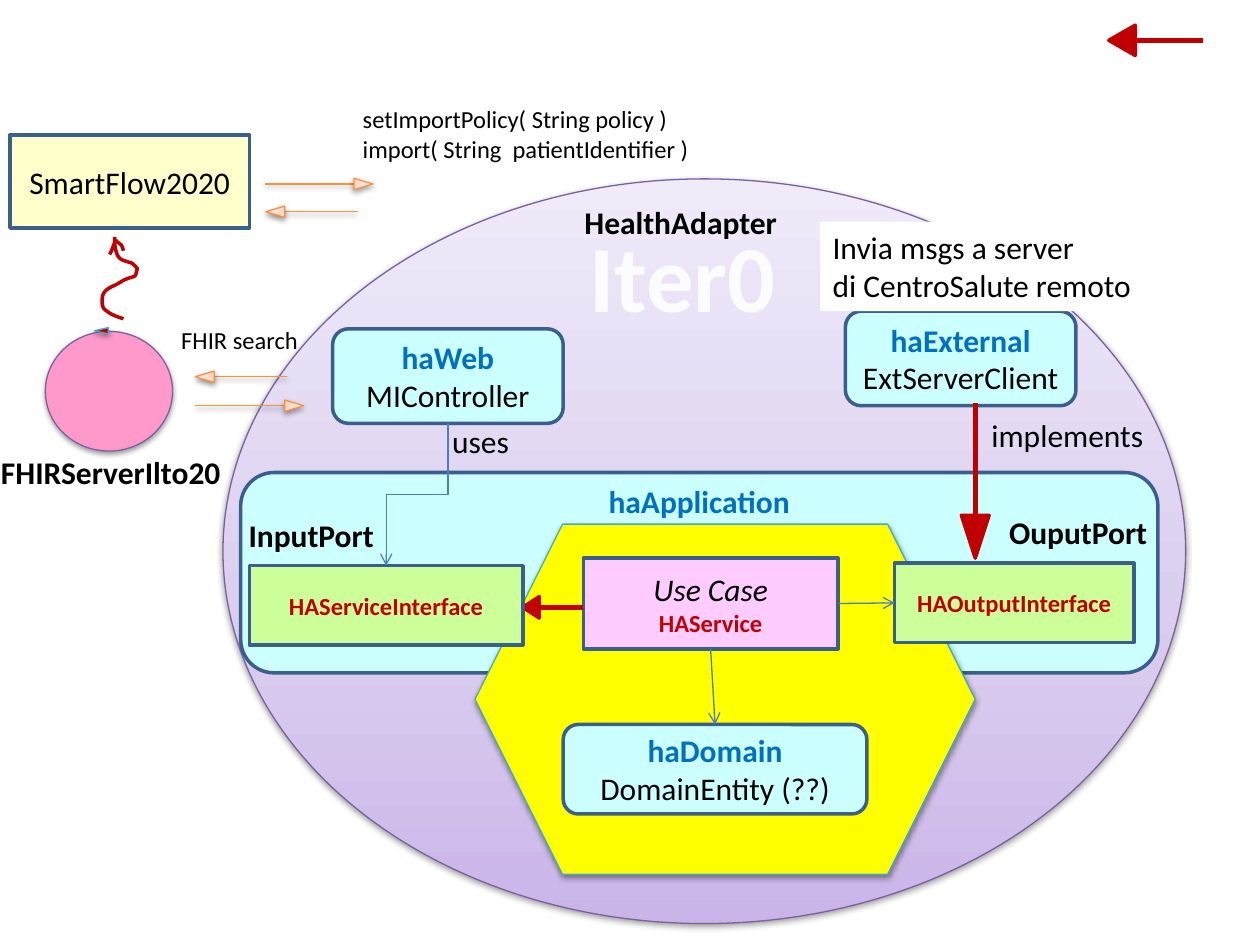
import copy
import math
from dataclasses import dataclass

import pptx
import pptx.dml.color
import pptx.enum.shapes
import pptx.enum.text
import pptx.oxml.ns
import pptx.util
from lxml import etree

SCALE = 9144  # EMU in one px, at 100 px to the inch
SHAPE = pptx.enum.shapes.MSO_SHAPE
CONNECTOR = pptx.enum.shapes.MSO_CONNECTOR
ALIGN = pptx.enum.text.PP_ALIGN
ANCHOR = pptx.enum.text.MSO_ANCHOR
qn = pptx.oxml.ns.qn


@dataclass(frozen=True)
class Theme:
    font: str = "Calibri"
    small: int = 14
    body: int = 18
    huge: int = 54
    black: str = "000000"
    white: str = "FFFFFF"
    ghost: str = "FCFCFF"
    title: str = "0070C0"
    red: str = "C00000"
    frame: str = "3A5F8C"
    violet: str = "7D60A0"
    teal: str = "46AAC5"
    link: str = "4B7EBC"
    orange: str = "F69240"
    cyan: str = "CCFFFF"
    yellow: str = "FFFF00"
    cream: str = "FFFFCC"
    lilac: str = "FFCCFF"
    pink: str = "FF99CC"
    green: str = "CCFF99"
    lavender: tuple = ("C9B5E8", "D8CBEE", "F0EAF9")
    peach: tuple = ("FFD2BD", "FFDED0", "FFF2ED")
    thin: float = 0.75
    medium: float = 2
    thick: float = 3


THEME = Theme()


@dataclass(frozen=True)
class Span:
    """One line of text in one format."""
    text: str
    size: int = THEME.body
    color: str = THEME.black
    bold: bool = False
    italic: bool = False


@dataclass(frozen=True)
class Panel:
    kind: int
    at: tuple
    fill: str | tuple
    lines: tuple = ()
    line: str = THEME.frame
    weight: float = THEME.medium
    shadow: bool = False
    anchor: int = ANCHOR.MIDDLE
    rotation: int = 0


@dataclass(frozen=True)
class Label:
    at: tuple
    lines: tuple
    align: int = ALIGN.LEFT
    wrap: bool = False
    fill: str | None = None


@dataclass(frozen=True)
class Arrow:
    """A shaft with a separate triangle; head is its length and base."""
    start: tuple
    end: tuple
    tip: tuple
    head: tuple = (15, 9)
    bold: bool = False


def package_box(name: str, detail: str, at: tuple) -> Panel:
    return Panel(SHAPE.ROUNDED_RECTANGLE, at, THEME.cyan,
                 (Span(name, color=THEME.title, bold=True), Span(detail)))


def port_box(name: str, at: tuple) -> Panel:
    return Panel(SHAPE.RECTANGLE, at, THEME.green, (Span(name, THEME.small, THEME.red, True),))


def soft(kind: int, at: tuple, fill: str | tuple, line: str, rotation: int = 0) -> Panel:
    return Panel(kind, at, fill, line=line, weight=THEME.thin, shadow=True, rotation=rotation)


USE_CASE = Panel(SHAPE.RECTANGLE, (463, 443, 202, 72), THEME.lilac,
                 (Span("Use Case", italic=True), Span("HAService", THEME.small, THEME.red, True)))
WEB = package_box("haWeb", "MIController", (264, 261, 183, 75))
DOMAIN = package_box("haDomain", "DomainEntity (??)", (447, 575, 241, 71))
INPUT = port_box("HAServiceInterface", (198, 449, 217, 63))
OUTPUT = port_box("HAOutputInterface", (710, 447, 190, 63))

SCENE = (
    soft(SHAPE.OVAL, (177, 142, 764, 591), THEME.lavender, THEME.violet),
    Panel(SHAPE.ROUNDED_RECTANGLE, (191, 375, 728, 159), THEME.cyan,
          (Span("haApplication", color=THEME.title, bold=True),), anchor=ANCHOR.TOP),
    soft(SHAPE.HEXAGON, (377, 416, 397, 278), THEME.yellow, THEME.teal),
    USE_CASE,
    WEB,
    Arrow((228, 299), (157, 299), (155, 299)),
    Arrow((155, 322), (226, 322), (241, 322)),
    soft(SHAPE.OVAL, (36, 263, 101, 95), THEME.pink, THEME.violet),
    soft(SHAPE.ISOSCELES_TRIANGLE, (78, 257, 5, 11), THEME.red, THEME.teal, 270),
    Label((-9, 355, 224, 40), (Span("FHIRServerIlto20", bold=True),), wrap=True),
    Label((278, 78, 295, 57), (Span("setImportPolicy( String policy )", THEME.small),
                               Span("import( String  patientIdentifier )", THEME.small))),
    Label((134, 253, 114, 34), (Span("FHIR search", THEME.small),)),
    Panel(SHAPE.RECTANGLE, (8, 107, 190, 74), THEME.cream, (Span("SmartFlow2020"),)),
    Arrow((284, 168), (213, 168), (211, 168)),
    Arrow((210, 146), (281, 146), (296, 146)),
    Label((187, 405, 120, 40), (Span("InputPort", bold=True),), ALIGN.CENTER),
    Label((791, 402, 131, 40), (Span("OuputPort", bold=True),)),
    package_box("haExternal", "ExtServerClient", (671, 247, 183, 75)),
    Arrow((955, 32), (901, 32), (880, 32), (21, 24), True),
    Arrow((463, 482), (428, 482), (415, 482), (13, 17), True),
    INPUT,
    OUTPUT,
    Arrow((774, 320), (774, 409), (774, 443), (34, 22), True),
    DOMAIN,
    Label((651, 176, 264, 71), (Span("Invia msgs a server"), Span("di CentroSalute remoto")),
          fill=THEME.white),
    Label((349, 330, 66, 40), (Span("uses"),)),
    Label((777, 325, 142, 40), (Span("implements"),)),
    Label((457, 168, 169, 101), (Span("Iter0", THEME.huge, THEME.ghost, True),), ALIGN.CENTER),
    Label((454, 156, 174, 40), (Span("HealthAdapter", bold=True),)),
)

# Each stroke: a first point, then cubic segments of two controls and an end
SQUIGGLE = (
    ((98, 253), (95, 252), (88, 250), (85, 247), (81, 245), (81, 241), (81, 238),
     (81, 230), (88, 228), (92, 226), (94, 225), (97, 223), (99, 222),
     (108, 218), (107, 222), (109, 213), (106, 210), (106, 209), (102, 208),
     (100, 207), (95, 207), (93, 202), (91, 196), (91, 194), (91, 188)),
    ((92, 190), (88, 200), (90, 196), (87, 202)),
    ((91, 190), (97, 196), (96, 192), (98, 199)),
)


def px(*values: float) -> list:
    return [pptx.util.Emu(round(value * SCALE)) for value in values]


def rgb(color: str):
    return pptx.dml.color.RGBColor.from_string(color)


def paint(shape, fill: str | tuple) -> None:
    """Solid for one colour, bottom-to-top gradient for three."""
    if isinstance(fill, str):
        shape.fill.solid()
        shape.fill.fore_color.rgb = rgb(fill)
        return
    shape.fill.gradient()
    shape.fill.gradient_angle = 90
    stop_list = shape._element.spPr.find(".//" + qn("a:gsLst"))
    stop_list.append(copy.deepcopy(stop_list[-1]))
    for stop, position, color in zip(shape.fill.gradient_stops, (0, 0.35, 1), fill):
        stop.position = position
        stop.color.rgb = rgb(color)


def outline(shape, color: str, weight: float, shadow: bool = False) -> None:
    shape.line.color.rgb = rgb(color)
    shape.line.width = pptx.util.Pt(weight)
    properties = shape._element.spPr
    effects = properties.find(qn("a:effectLst"))
    if effects is None:
        effects = etree.SubElement(properties, qn("a:effectLst"))
    if shadow:
        cast = etree.SubElement(effects, qn("a:outerShdw"), blurRad="40000", dist="20000",
                                dir="5400000", rotWithShape="0")
        tint = etree.SubElement(cast, qn("a:srgbClr"), val=THEME.black)
        etree.SubElement(tint, qn("a:alpha"), val="38000")


def write(frame, lines: tuple, align: int) -> None:
    frame.text = "\n".join(span.text for span in lines)
    for para, span in zip(frame.paragraphs, lines):
        para.alignment = align
        font = para.runs[0].font
        font.name, font.size = THEME.font, pptx.util.Pt(span.size)
        font.bold, font.italic = span.bold, span.italic
        font.color.rgb = rgb(span.color)


def draw_panel(page, panel: Panel):
    shape = page.shapes.add_shape(panel.kind, *px(*panel.at))
    shape.shadow.inherit = False
    shape.rotation = panel.rotation
    paint(shape, panel.fill)
    outline(shape, panel.line, panel.weight, panel.shadow)
    if panel.lines:
        shape.text_frame.vertical_anchor = panel.anchor
        if panel.anchor == ANCHOR.TOP:
            shape.text_frame.margin_top = 0
        write(shape.text_frame, panel.lines, ALIGN.CENTER)
    return shape


def draw_label(page, label: Label) -> None:
    box = page.shapes.add_textbox(*px(*label.at))
    box.text_frame.word_wrap = label.wrap
    if label.fill:
        paint(box, label.fill)
    write(box.text_frame, label.lines, label.align)


def draw_arrow(page, arrow: Arrow) -> None:
    color, weight = (THEME.red, THEME.thick) if arrow.bold else (THEME.orange, THEME.thin)
    shaft = page.shapes.add_connector(CONNECTOR.STRAIGHT, *px(*arrow.start, *arrow.end))
    outline(shaft, color, weight, not arrow.bold)
    length, base = arrow.head
    angle = math.atan2(arrow.tip[1] - arrow.start[1], arrow.tip[0] - arrow.start[0])
    left = arrow.tip[0] - length / 2 * math.cos(angle) - base / 2
    top = arrow.tip[1] - length / 2 * math.sin(angle) - length / 2
    at, turn = (left, top, base, length), round(math.degrees(angle) + 90) % 360
    if arrow.bold:
        head = Panel(SHAPE.ISOSCELES_TRIANGLE, at, color, line=color, rotation=turn)
    else:
        head = soft(SHAPE.ISOSCELES_TRIANGLE, at, THEME.peach, color, turn)
    draw_panel(page, head)


def finish_link(link) -> None:
    outline(link, THEME.link, THEME.thin)
    etree.SubElement(link._element.spPr.get_or_add_ln(), qn("a:tailEnd"), type="arrow")


def join(page, source, source_side: int, target, target_side: int) -> None:
    link = page.shapes.add_connector(CONNECTOR.STRAIGHT, 0, 0, 0, 0)
    link.begin_connect(source, source_side)
    link.end_connect(target, target_side)
    finish_link(link)


def draw_elbow(page, source: Panel, target: Panel) -> None:
    """Go down, left and down, as a quarter-turned elbow."""
    start_x, start_y = source.at[0] + source.at[2] / 2, source.at[1] + source.at[3]
    end_x, end_y = target.at[0] + target.at[2] / 2, target.at[1]
    drop, shift = end_y - start_y, start_x - end_x
    left, top = (start_x + end_x - drop) / 2, (start_y + end_y - shift) / 2
    link = page.shapes.add_connector(CONNECTOR.ELBOW, *px(left, top, left + drop, top + shift))
    link._element.spPr.xfrm.rot = 90
    finish_link(link)


def curve_points(stroke: tuple, steps: int = 8) -> list:
    points = [stroke[0]]
    for first in range(0, len(stroke) - 1, 3):
        controls = stroke[first:first + 4]
        for step in range(1, steps + 1):
            t = step / steps
            weights = ((1 - t) ** 3, 3 * t * (1 - t) ** 2, 3 * t * t * (1 - t), t ** 3)
            points.append([sum(w * point[axis] for w, point in zip(weights, controls))
                           for axis in (0, 1)])
    return [px(*point) for point in points]


def draw_stroke(page, stroke: tuple) -> None:
    points = curve_points(stroke)
    builder = page.shapes.build_freeform(*points[0])
    builder.add_line_segments(points[1:], close=False)
    shape = builder.convert_to_shape()
    shape.shadow.inherit = False
    shape.fill.background()
    outline(shape, THEME.red, THEME.medium)


def main() -> None:
    deck = pptx.Presentation()
    deck.slide_width, deck.slide_height = px(1000, 750)
    page = deck.slides.add_slide(deck.slide_layouts[6])
    drawn = {}
    for item in SCENE:
        if isinstance(item, Panel):
            drawn[item] = draw_panel(page, item)
        elif isinstance(item, Label):
            draw_label(page, item)
        else:
            draw_arrow(page, item)
    join(page, drawn[USE_CASE], 2, drawn[DOMAIN], 0)
    join(page, drawn[USE_CASE], 3, drawn[OUTPUT], 1)
    draw_elbow(page, WEB, INPUT)
    for stroke in SQUIGGLE:
        draw_stroke(page, stroke)
    deck.save("out.pptx")


if __name__ == "__main__":
    main()
